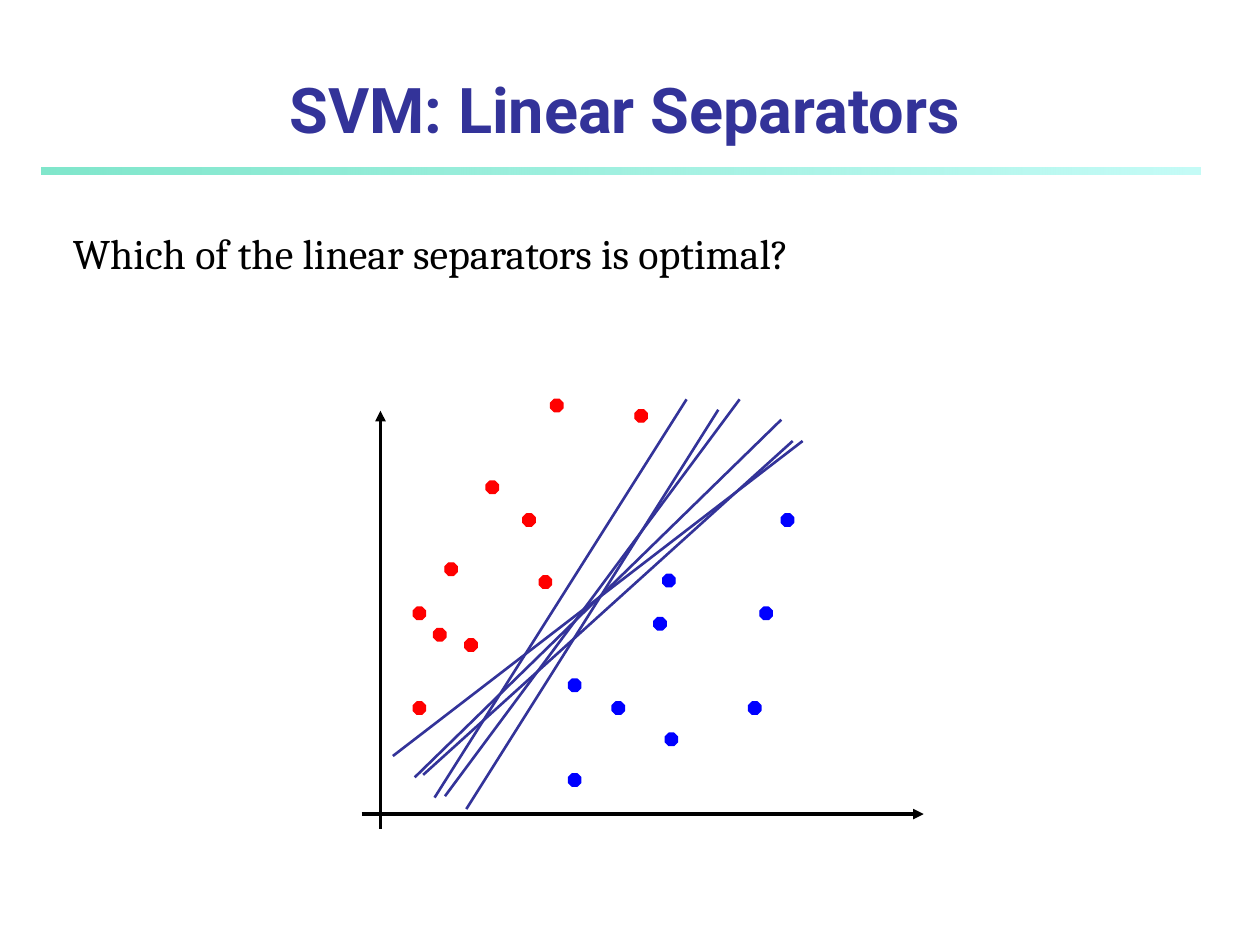
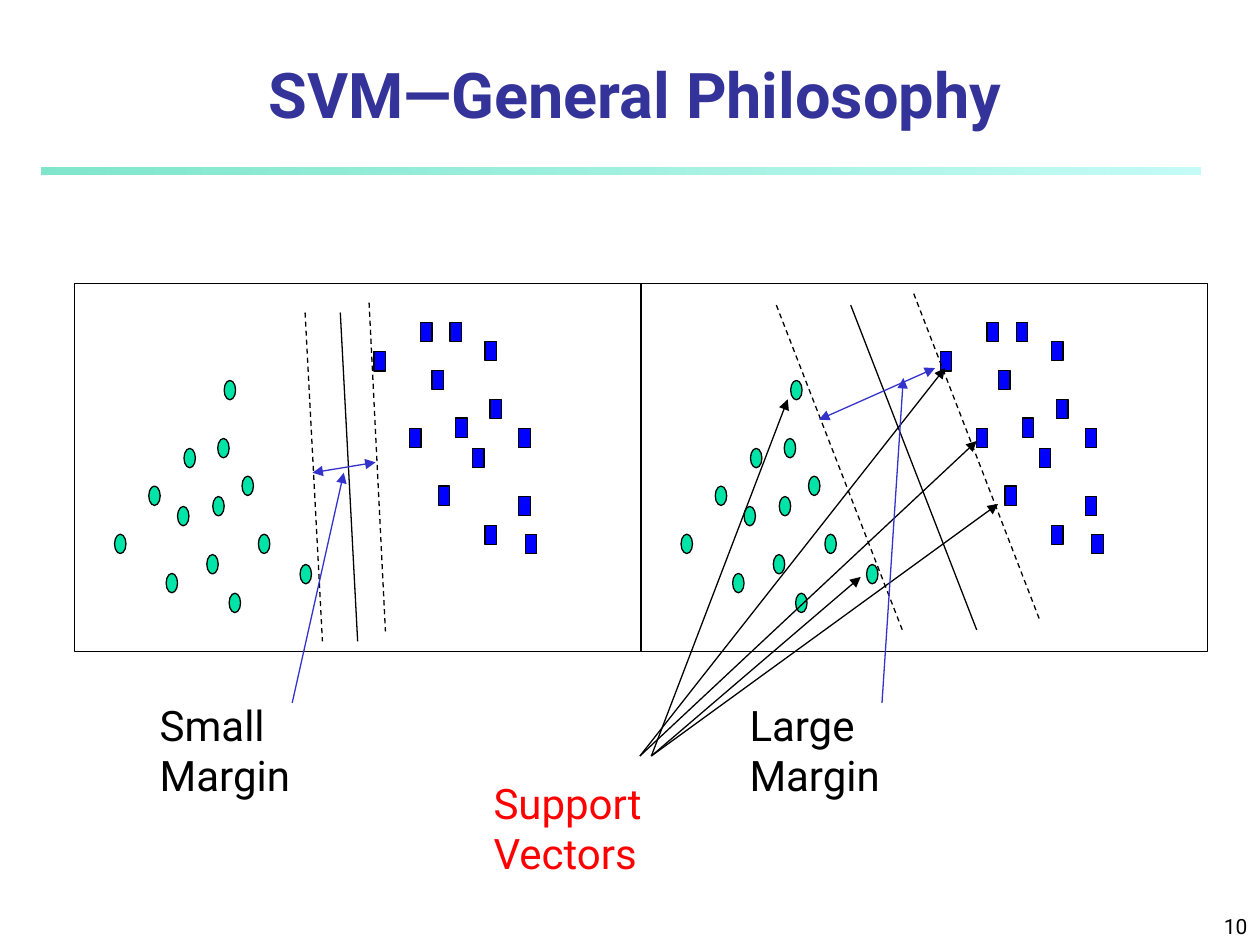
"""Build two slides on support vector machines: separators and margins."""
from pptx import Presentation, util as u
from pptx.dml.color import RGBColor
from pptx.enum import dml, shapes, text
from pptx.oxml.ns import qn
from lxml import etree

INDIGO, BLACK, RED, BLUE = "333399", "000000", "FF0000", "0000FF"
GREEN, ARROW_BLUE = "00E4A8", "3333CC"
BAND = (0.84, 3.38, 23.37, 0.13)
BAND_STOPS = [("00CE98", 50), ("8FF9EF", 52)]

SEPARATORS_TITLE = ("SVM: Linear Separators", (1.17, 1.47, 22.86, 1.6))
QUESTION = ("Which of the linear separators is optimal?", (1.22, 4.47, 18.87, 1.27))
AXES = [(7.67, 16.71, 7.67, 8.28), (7.29, 16.41, 18.62, 16.41)]
DOT = (0.25, 0.25)
RED_DOTS = [
    (10.54, 10.36), (8.97, 11.35), (9.37, 12.88), (8.33, 14.15), (9.8, 9.7),
    (8.33, 12.24), (8.74, 12.67), (10.87, 11.61), (11.1, 8.05), (12.8, 8.26),
]
BLUE_DOTS = [
    (13.36, 11.58), (12.34, 14.15), (15.09, 14.15), (11.46, 15.6), (13.18, 12.45),
    (11.46, 13.69), (13.41, 14.78), (15.32, 12.24), (15.75, 10.36),
]
SEPARATORS = [
    (8.53, 15.62, 15.98, 8.89), (8.97, 16.05, 14.91, 8.05), (7.92, 15.24, 16.18, 8.89),
    (9.4, 16.31, 14.48, 8.26), (8.76, 16.08, 13.84, 8.05), (8.36, 15.67, 15.75, 8.46),
]

PHILOSOPHY_TITLE = ("SVM—General Philosophy", (0.84, 1.07, 23.93, 1.7))
PAGE_NUMBER = ("10", (20.12, 17.98, 5.28, 1.07))
FRAME = (1.5, 5.72, 11.43, 7.42)
PANEL_STEP = 11.42
MARK = (0.23, 0.39)
CIRCLES = [
    (3.35, 11.56), (3.58, 10.21), (2.31, 10.77), (3, 9.8), (4.17, 11.18),
    (3.71, 9.04), (4.29, 10.01), (4.39, 8.84), (4.88, 9.6), (5.21, 10.77),
    (4.62, 11.96), (6.05, 11.38), (4.52, 7.67),
]
SQUARES = [
    (8.26, 8.64), (7.54, 7.09), (8.48, 6.5), (8.84, 9.8), (8.71, 7.47),
    (9.19, 8.43), (9.07, 6.5), (9.78, 6.88), (9.53, 9.04), (9.88, 8.05),
    (9.78, 10.59), (10.46, 8.64), (10.46, 10.01), (10.59, 10.77),
]
PANELS = [
    {"margins": [(7.44, 6.1, 7.77, 12.73), (6.15, 6.3, 6.5, 12.93)],
     "boundary": (6.86, 6.3, 7.21, 12.93)},
    {"margins": [(15.65, 6.15, 18.19, 12.7), (18.42, 5.92, 20.96, 12.5)],
     "boundary": (17.15, 6.15, 19.69, 12.7)},
]
SUPPORT = ("Support Vectors", (9.7, 15.54, 6.4, 1.27))
SUPPORT_ARROWS = [
    (12.9, 15.24, 19.05, 7.42), (12.9, 15.24, 19.69, 8.89), (13.13, 15.24, 20.12, 10.16),
    (13.13, 15.24, 17.35, 11.63), (13.13, 15.24, 15.88, 8.05),
]
MARGIN_NOTES = [
    {"label": ("Small Margin", (2.97, 13.97, 5.3, 1.27)),
     "width": (6.3, 9.53, 7.57, 9.32), "pointer": (5.89, 14.17, 6.93, 9.53)},
    {"label": ("Large Margin", (14.86, 13.97, 5.3, 1.27)),
     "width": (16.51, 8.46, 18.85, 7.42), "pointer": (17.78, 14.17, 18.21, 7.62)},
]


def cm(values):
    return [u.Cm(v) for v in values]


def rgb(value):
    return RGBColor.from_string(value)


def write(sp, words, size=24, font="Roboto", color=BLACK, bold=False,
          align=text.PP_ALIGN.LEFT, anchor=text.MSO_ANCHOR.TOP):
    tf = sp.text_frame
    tf.word_wrap = True
    tf.auto_size = text.MSO_AUTO_SIZE.NONE
    tf.vertical_anchor = anchor
    p = tf.paragraphs[0]
    p.alignment = align
    r = p.add_run()
    r.text = words
    r.font.size, r.font.name, r.font.bold = u.Pt(size), font, bold
    r.font.color.rgb = rgb(color)


def add_text(parent, item, **style):
    words, box = item
    write(parent.add_textbox(*cm(box)), words, **style)


def add_title(slide, item):
    words, box = item
    sp = slide.shapes.title
    sp.left, sp.top, sp.width, sp.height = cm(box)
    write(sp, words, size=36, color=INDIGO, bold=True,
          align=text.PP_ALIGN.CENTER, anchor=text.MSO_ANCHOR.BOTTOM)


def add_shape(parent, kind, box, fill=None, line=BLACK):
    sp = parent.add_shape(kind, *cm(box))
    sp.shadow.inherit = False
    if fill:
        sp.fill.solid()
        sp.fill.fore_color.rgb = rgb(fill)
    else:
        sp.fill.background()
    sp.line.color.rgb = rgb(line)
    sp.line.width = u.Pt(0.75)
    return sp


def add_marks(parent, kind, points, size, fill, line, shift=0):
    for x, y in points:
        add_shape(parent, kind, (x + shift, y, *size), fill, line)


def add_line(parent, ends, color=BLACK, width=0.75, dashed=False, arrows=()):
    cxn = parent.add_connector(shapes.MSO_CONNECTOR.STRAIGHT, *cm(ends))
    cxn.line.color.rgb = rgb(color)
    cxn.line.width = u.Pt(width)
    if dashed:
        cxn.line.dash_style = dml.MSO_LINE.DASH
    props = cxn.element.spPr
    for end in arrows:
        etree.SubElement(props.find(qn("a:ln")), qn(f"a:{end}End"), type="triangle")
    etree.SubElement(props, qn("a:effectLst"))


def add_band(slide, layout):
    sp = add_shape(slide.shapes, shapes.MSO_SHAPE.RECTANGLE, BAND)
    sp.line.fill.background()
    sp.fill.gradient()
    sp.fill.gradient_angle = 0
    for stop, (color, opacity) in zip(sp.fill.gradient_stops, BAND_STOPS):
        stop.color.rgb = rgb(color)
    for clr, (color, opacity) in zip(sp.element.iter(qn("a:srgbClr")), BAND_STOPS):
        etree.SubElement(clr, qn("a:alpha"), val=str(opacity * 1000))
    layout.shapes.element.append(sp.element)


def build_separators(slide):
    add_title(slide, SEPARATORS_TITLE)
    for axis in AXES:
        add_line(slide.shapes, axis, width=2, arrows=["tail"])
    for points, color in [(RED_DOTS, RED), (BLUE_DOTS, BLUE)]:
        add_marks(slide.shapes, shapes.MSO_SHAPE.OCTAGON, points, DOT, color, color)
    for ends in SEPARATORS:
        add_line(slide.shapes, ends, INDIGO, 1.5)
    add_text(slide.shapes, QUESTION, font="Cambria")


def build_philosophy(slide):
    add_text(slide.shapes, PAGE_NUMBER, size=12, align=text.PP_ALIGN.RIGHT,
             anchor=text.MSO_ANCHOR.BOTTOM)
    add_title(slide, PHILOSOPHY_TITLE)
    for i, panel in enumerate(PANELS):
        shift = i * PANEL_STEP
        group = slide.shapes.add_group_shape().shapes
        add_marks(group, shapes.MSO_SHAPE.OVAL, CIRCLES, MARK, GREEN, BLACK, shift)
        add_marks(group, shapes.MSO_SHAPE.RECTANGLE, SQUARES, MARK, BLUE, BLACK, shift)
        add_shape(group, shapes.MSO_SHAPE.RECTANGLE, (FRAME[0] + shift, *FRAME[1:]))
        for ends in panel["margins"]:
            add_line(group, ends, dashed=True)
        add_line(group, panel["boundary"])
    group = slide.shapes.add_group_shape().shapes
    add_text(group, SUPPORT, color=RED)
    for ends in SUPPORT_ARROWS:
        add_line(group, ends, arrows=["tail"])
    for note in MARGIN_NOTES:
        group = slide.shapes.add_group_shape().shapes
        add_text(group, note["label"])
        add_line(group, note["width"], ARROW_BLUE, arrows=["head", "tail"])
        add_line(group, note["pointer"], ARROW_BLUE, arrows=["tail"])


def main():
    prs = Presentation()
    prs.slide_width, prs.slide_height = cm((25.4, 19.05))
    layout = prs.slide_layouts[5]
    separators, philosophy = [prs.slides.add_slide(layout) for _ in range(2)]
    add_band(separators, layout)
    build_separators(separators)
    build_philosophy(philosophy)
    prs.save("out.pptx")


if __name__ == "__main__":
    main()
